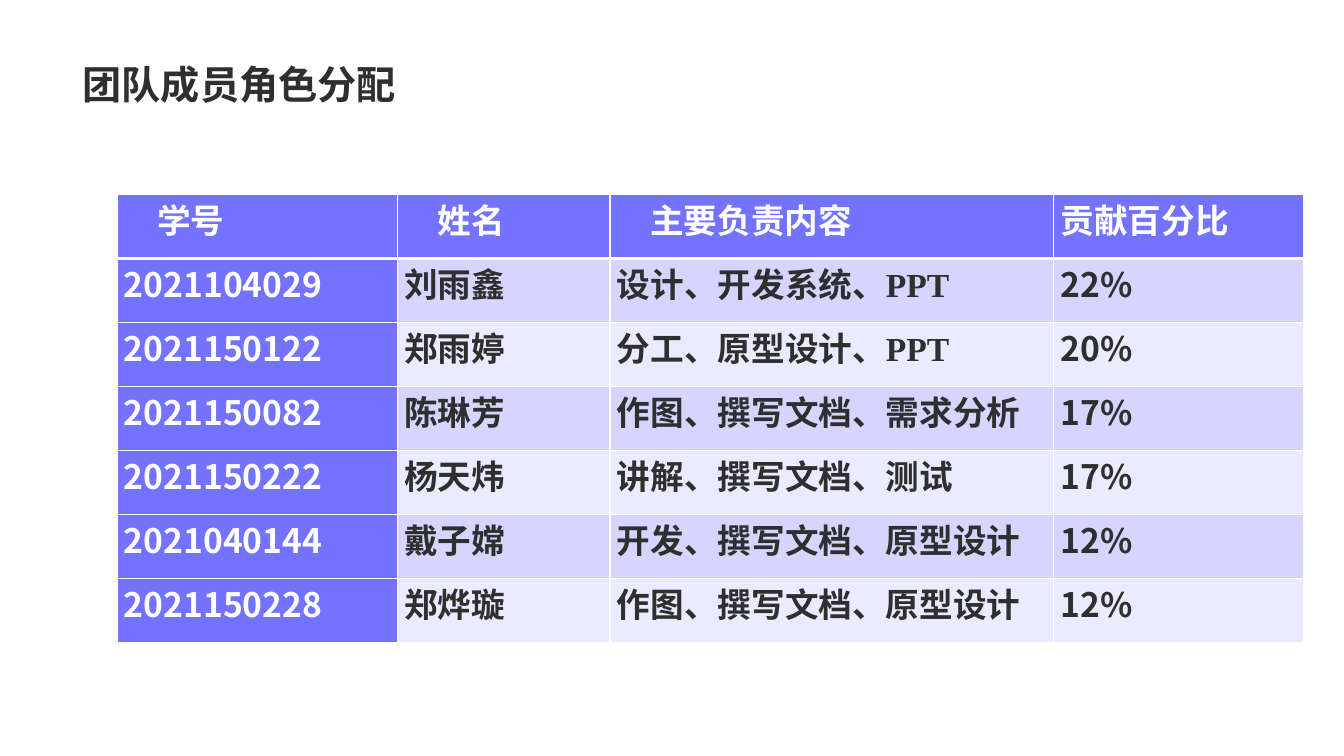
"""Build the slide listing each team member's role and contribution."""
from lxml.etree import SubElement
from pptx import Presentation
from pptx.dml.color import RGBColor
from pptx.enum.shapes import MSO_SHAPE
from pptx.enum.text import MSO_ANCHOR, MSO_AUTO_SIZE, PP_ALIGN
from pptx.oxml.ns import qn
from pptx.util import Inches, Pt

TITLE = "团队成员角色分配"
HEADINGS = ("学号", "姓名", "主要负责内容", "贡献百分比")
MEMBERS = [
    ("2021104029", "刘雨鑫", "设计、开发系统、PPT", "22%"),
    ("2021150122", "郑雨婷", "分工、原型设计、PPT", "20%"),
    ("2021150082", "陈琳芳", "作图、撰写文档、需求分析", "17%"),
    ("2021150222", "杨天炜", "讲解、撰写文档、测试", "17%"),
    ("2021040144", "戴子嫦", "开发、撰写文档、原型设计", "12%"),
    ("2021150228", "郑烨璇", "作图、撰写文档、原型设计", "12%"),
]
CORNER_FADES = [(9.49, -0.49, 16, False), (0.48, 3.65, 42, True)]
COLUMN_WIDTHS = (2.78, 2.11, 4.4, 2.48)
ROW_HEIGHT = 0.635
INDENTED_HEADINGS = 3
CHINESE_FONT = "Noto Sans CJK SC"
LATIN_FONT = "Times New Roman"
DARK, WHITE, ACCENT = "2F2F2F", "FFFFFF", "7373FF"
BANDS = ("D5D5FF", "EBEBFF")


def color(value):
    return RGBColor.from_string(value)


def format_run(run, size, font_name, text_color):
    run.font.size = Pt(size)
    run.font.bold = True
    run.font.name = font_name
    run.font.color.rgb = color(text_color)
    east_asian = SubElement(run.font._element, qn("a:ea"))
    east_asian.set("typeface", CHINESE_FONT)
    run.font._element.find(qn("a:latin")).addnext(east_asian)


def add_corner_fade(slide, left, top, opacity, flipped):
    shape = slide.shapes.add_shape(
        MSO_SHAPE.RECTANGLE, Inches(left), Inches(top), Inches(3.35), Inches(4.34))
    shape.rotation = 270
    shape.shadow.inherit = False
    shape.line.fill.background()
    shape.fill.gradient()
    shape.fill.gradient_angle = 270
    for stop, position in zip(shape.fill.gradient_stops, (0, 0.78)):
        stop.color.rgb = color(WHITE)
        stop.position = position
    last_color = list(shape._element.spPr.iter(qn("a:srgbClr")))[-1]
    SubElement(last_color, qn("a:alpha")).set("val", str(opacity * 1000))
    if flipped:
        shape._element.spPr.xfrm.set("flipH", "1")
        shape._element.spPr.xfrm.set("flipV", "1")
    slide.shapes.title._element.addprevious(shape._element)


def add_title(slide):
    title = slide.shapes.title
    title.left, title.top = Inches(0.72), Inches(0)
    title.width, title.height = Inches(11.88), Inches(1.12)
    frame = title.text_frame
    frame.text = TITLE
    frame.auto_size = MSO_AUTO_SIZE.NONE
    frame.vertical_anchor = MSO_ANCHOR.BOTTOM
    paragraph = frame.paragraphs[0]
    paragraph.alignment = PP_ALIGN.LEFT
    paragraph.line_spacing = 0.9
    format_run(paragraph.runs[0], 28, "Roboto", DARK)


def set_border(cell, side, width):
    properties = cell._tc.get_or_add_tcPr()
    line = SubElement(properties, qn(f"a:{side}"), w=str(Pt(width)))
    fill = SubElement(line, qn("a:solidFill"))
    SubElement(fill, qn("a:srgbClr"), val=WHITE)


def fill_cell(cell, text, row, column):
    is_accent = row == 0 or column == 0
    cell.margin_left = cell.margin_right = Inches(0.07)
    cell.margin_top = cell.margin_bottom = Inches(0)
    for side in ("lnL", "lnR", "lnT", "lnB"):
        is_heading_rule = (row, side) in ((0, "lnB"), (1, "lnT"))
        set_border(cell, side, 3 if is_heading_rule else 1)
    cell.fill.solid()
    cell.fill.fore_color.rgb = color(ACCENT if is_accent else BANDS[(row - 1) % 2])
    cell.text_frame.text = text
    paragraph = cell.text_frame.paragraphs[0]
    paragraph.alignment = PP_ALIGN.JUSTIFY
    if row == 0 and column < INDENTED_HEADINGS:
        paragraph._p.get_or_add_pPr().set("indent", str(Inches(0.33)))
    is_number = row > 0 and column in (0, 3)
    format_run(paragraph.runs[0], 24, CHINESE_FONT if is_number else LATIN_FONT,
               WHITE if is_accent else DARK)


def add_member_table(slide):
    rows = [HEADINGS, *MEMBERS]
    table = slide.shapes.add_table(
        len(rows), len(HEADINGS), Inches(1.16), Inches(1.93),
        Inches(sum(COLUMN_WIDTHS)), Inches(ROW_HEIGHT * len(rows))).table
    table.first_col = True
    for column, width in zip(table.columns, COLUMN_WIDTHS):
        column.width = Inches(width)
    for row, values in enumerate(rows):
        table.rows[row].height = Inches(ROW_HEIGHT)
        for column, text in enumerate(values):
            fill_cell(table.cell(row, column), text, row, column)


def main():
    presentation = Presentation()
    presentation.slide_width = Inches(13.33)
    presentation.slide_height = Inches(7.5)
    slide = presentation.slides.add_slide(presentation.slide_layouts[5])
    slide.background.fill.solid()
    slide.background.fill.fore_color.rgb = color(WHITE)
    for fade in CORNER_FADES:
        add_corner_fade(slide, *fade)
    add_title(slide)
    add_member_table(slide)
    presentation.save("out.pptx")


if __name__ == "__main__":
    main()
